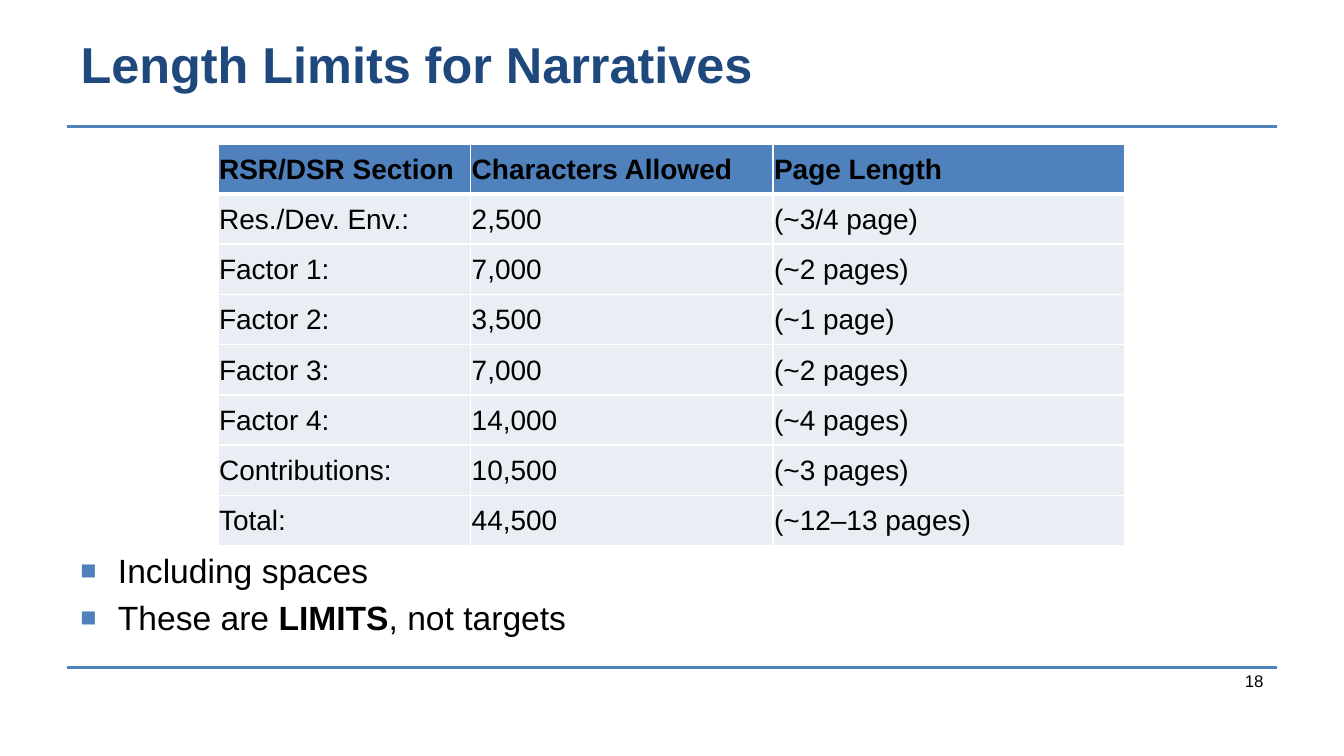
import pptx
import pptx.dml.color
import pptx.enum.shapes
import pptx.enum.text
import pptx.oxml
import pptx.oxml.ns
import pptx.util
from pptx.util import Inches

FONT = "Arial"
COLORS = {
    "title": "1F497D",
    "accent": "4F81BD",
    "band": "E9EDF4",
    "text": "000000",
    "border": "FFFFFF",
}
LIMITS = [
    ("RSR/DSR Section", "Characters Allowed", "Page Length"),
    ("Res./Dev. Env.:", "2,500", "(~3/4 page)"),
    ("Factor 1:", "7,000", "(~2 pages)"),
    ("Factor 2:", "3,500", "(~1 page)"),
    ("Factor 3:", "7,000", "(~2 pages)"),
    ("Factor 4:", "14,000", "(~4 pages)"),
    ("Contributions:", "10,500", "(~3 pages)"),
    ("Total:", "44,500", "(~12–13 pages)"),
]
COLUMN_WIDTHS = (1.88, 2.25, 2.62)
BULLETS = [
    [("Including spaces", False)],
    [("These are ", False), ("LIMITS", True), (", not targets", False)],
]


def rgb(name):
    return pptx.dml.color.RGBColor.from_string(COLORS[name])


def add_xml(parent, xml):
    namespace = pptx.oxml.ns.nsdecls("a")
    parent.append(pptx.oxml.parse_xml(xml.replace(">", f" {namespace}>", 1)))


def add_span(para, text, size, bold=False, color="text"):
    span = para.add_run()
    span.text = text
    span.font.name = FONT
    span.font.size = pptx.util.Pt(size)
    span.font.bold = bold
    span.font.color.rgb = rgb(color)


def add_title(page, text):
    title = page.shapes.title
    title.left, title.top = Inches(0.5), Inches(0.24)
    title.width, title.height = Inches(9), Inches(0.46)
    frame = title.text_frame
    frame.auto_size = pptx.enum.text.MSO_AUTO_SIZE.NONE
    frame.vertical_anchor = pptx.enum.text.MSO_ANCHOR.MIDDLE
    para = frame.paragraphs[0]
    para.alignment = pptx.enum.text.PP_ALIGN.LEFT
    add_span(para, text, 27, True, "title")


def add_rule(page, top):
    rule = page.shapes.add_connector(
        pptx.enum.shapes.MSO_CONNECTOR.STRAIGHT,
        Inches(0.5), Inches(top), Inches(9.5), Inches(top))
    rule.line.color.rgb = rgb("accent")
    rule.line.width = pptx.util.Pt(1.5)
    add_xml(rule._element.spPr, "<a:effectLst></a:effectLst>")


def add_text_box(page, left, top, width, height):
    box = page.shapes.add_textbox(
        Inches(left), Inches(top), Inches(width), Inches(height))
    box.text_frame.word_wrap = True
    return box.text_frame


def set_borders(cell, top, bottom):
    """Border all four sides; top and bottom are widths in points."""
    properties = cell._tc.get_or_add_tcPr()
    for side, width in (("L", 1), ("R", 1), ("T", top), ("B", bottom)):
        add_xml(properties,
                f'<a:ln{side} w="{pptx.util.Pt(width)}"><a:solidFill>'
                f'<a:srgbClr val="{COLORS["border"]}"/></a:solidFill></a:ln{side}>')


def add_limits_table(page):
    row_height = Inches(2.99 / len(LIMITS))
    table = page.shapes.add_table(
        len(LIMITS), len(COLUMN_WIDTHS), Inches(1.62), Inches(1.07),
        Inches(sum(COLUMN_WIDTHS)), row_height * len(LIMITS)).table
    table.horz_banding = False
    for column, width in zip(table.columns, COLUMN_WIDTHS):
        column.width = Inches(width)
    for index, values in enumerate(LIMITS):
        header = index == 0
        table.rows[index].height = row_height
        for cell, value in zip(table.rows[index].cells, values):
            cell.margin_left = cell.margin_right = cell.margin_top = Inches(0.01)
            cell.margin_bottom = 0
            cell.vertical_anchor = pptx.enum.text.MSO_ANCHOR.MIDDLE
            set_borders(cell, 3 if index == 1 else 1, 3 if header else 1)
            cell.fill.solid()
            cell.fill.fore_color.rgb = rgb("accent" if header else "band")
            add_span(cell.text_frame.paragraphs[0], value, 15, header)


def add_bullets(page):
    frame = add_text_box(page, 0.5, 4.04, 9, 0.75)
    for index, spans in enumerate(BULLETS):
        para = frame.add_paragraph() if index else frame.paragraphs[0]
        properties = para._p.get_or_add_pPr()
        properties.set("marL", str(Inches(0.28)))
        properties.set("indent", str(-Inches(0.28)))
        add_xml(properties,
                f'<a:buClr><a:srgbClr val="{COLORS["accent"]}"/></a:buClr>')
        add_xml(properties, '<a:buSzPct val="80000"></a:buSzPct>')
        add_xml(properties, f'<a:buFont typeface="{FONT}"></a:buFont>')
        add_xml(properties, '<a:buChar char="■"></a:buChar>')
        if index:
            para.space_before = pptx.util.Pt(3.6)
        for text, bold in spans:
            add_span(para, text, 18, bold)


def add_page_number(page, number):
    frame = add_text_box(page, 7.17, 4.81, 2.33, 0.38)
    frame.vertical_anchor = pptx.enum.text.MSO_ANCHOR.BOTTOM
    para = frame.paragraphs[0]
    para.alignment = pptx.enum.text.PP_ALIGN.RIGHT
    add_span(para, number, 9)


def main():
    deck = pptx.Presentation()
    deck.slide_width = Inches(10)
    deck.slide_height = deck.slide_width * 9 // 16
    page = deck.slides.add_slide(deck.slide_layouts[5])
    for top in (4.97, 0.94):
        add_rule(page, top)
    add_title(page, "Length Limits for Narratives")
    add_bullets(page)
    add_limits_table(page)
    add_page_number(page, "18")
    deck.save("out.pptx")


if __name__ == "__main__":
    main()
